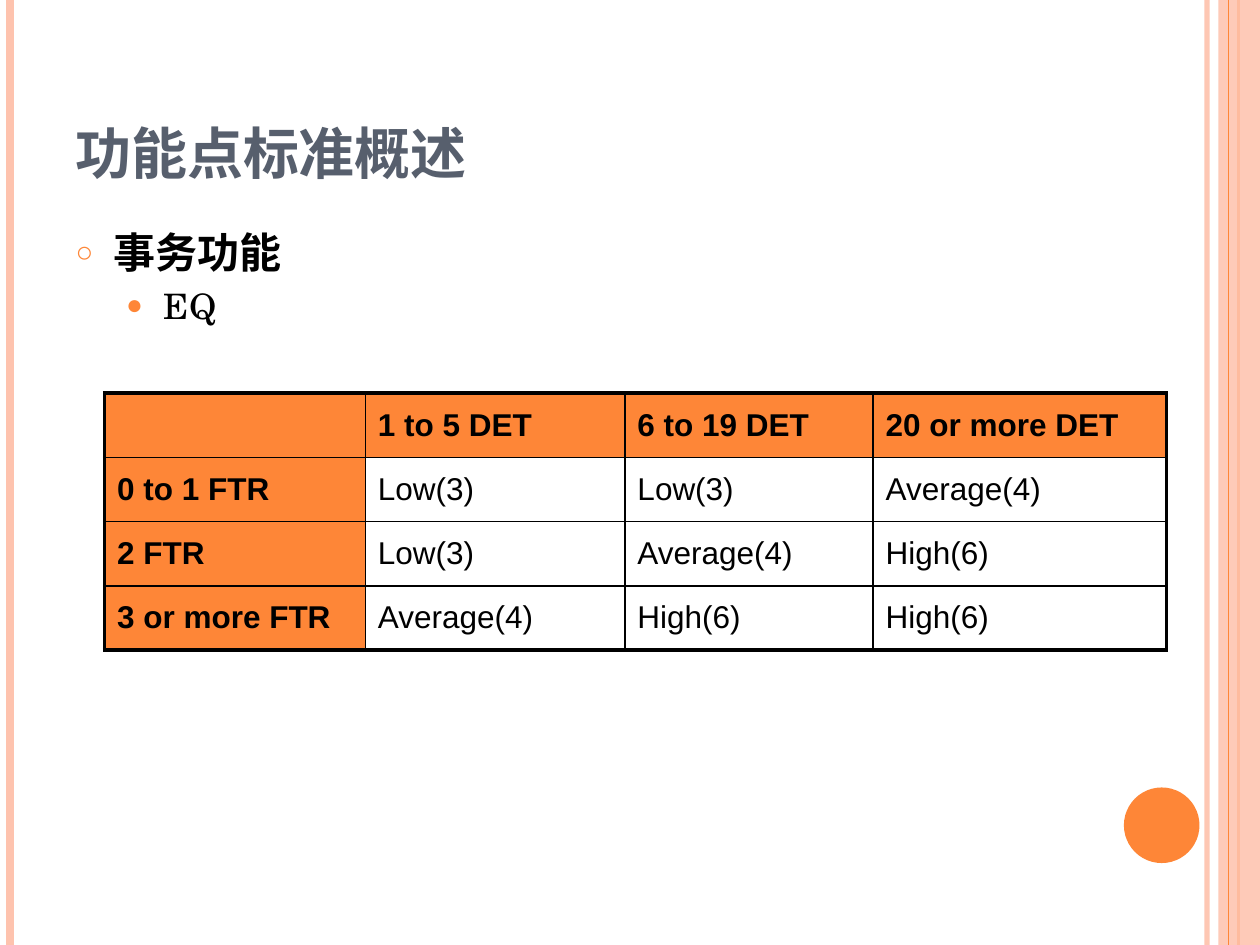
import pptx
import pptx.util
import pptx.dml.color
import pptx.enum.shapes
import pptx.enum.text
import pptx.oxml
from lxml import etree
from pptx.util import Inches

COLORS = {"orange": "FE8637", "peach": "FEC3AE", "slate": "575F6D", "black": "000000"}
FONTS = {"theme": "TeX Gyre Schola", "table": "Arial"}
A = "{http://schemas.openxmlformats.org/drawingml/2006/main}"


def rgb(name):
    return pptx.dml.color.RGBColor.from_string(COLORS[name])


def format_text(paragraph, color="black", **values):
    """Set the font attributes of every run in a paragraph."""
    for run in paragraph.runs:
        run.font.color.rgb = rgb(color)
        for attribute, value in values.items():
            setattr(run.font, attribute, value)


presentation = pptx.Presentation()
presentation.slide_width, presentation.slide_height = Inches(10), Inches(7.5)
slide = presentation.slides.add_slide(presentation.slide_layouts[1])
shapes = slide.shapes

# Vertical stripes: x, colour, width in points, opacity in percent
stripes = [
    (9.58, "peach", 3, 93),
    (0.08, "peach", 4.5, 100),
    (9.83, "orange", 1.5, 100),
    (9.75, "orange", 0.75, 100),
]
for x, color, width, opacity in stripes:
    stripe = shapes.add_connector(
        pptx.enum.shapes.MSO_CONNECTOR.STRAIGHT, Inches(x), 0, Inches(x), Inches(7.5))
    stripe.line.color.rgb = rgb(color)
    stripe.line.width = pptx.util.Pt(width)
    properties = stripe._element.spPr
    etree.SubElement(properties, A + "effectLst")
    if opacity < 100:
        etree.SubElement(next(properties.iter(A + "srgbClr")), A + "alpha", val=str(opacity * 1000))
    if x == 9.83:
        # The band covers this stripe but not the one after it
        band = shapes.add_shape(pptx.enum.shapes.MSO_SHAPE.RECTANGLE,
                                Inches(9.67), 0, Inches(0.33), Inches(7.5))

# Right band and page number disc
disc = shapes.add_shape(pptx.enum.shapes.MSO_SHAPE.OVAL,
                        Inches(8.92), Inches(6.25), Inches(0.6), Inches(0.6))
for decoration, color in [(band, "peach"), (disc, "orange")]:
    decoration.shadow.inherit = False
    decoration.fill.solid()
    decoration.fill.fore_color.rgb = rgb(color)
    decoration.line.fill.background()
etree.SubElement(next(band._element.spPr.iter(A + "srgbClr")), A + "alpha", val="87000")

# Title
title = shapes.title
title_box = {"left": 0.5, "top": 0.3, "width": 8.17, "height": 1.25}
for side, value in title_box.items():
    setattr(title, side, Inches(value))
title.text_frame.text = "功能点标准概述"
title.text_frame.vertical_anchor = pptx.enum.text.MSO_ANCHOR.BOTTOM
heading = title.text_frame.paragraphs[0]
heading.alignment = pptx.enum.text.PP_ALIGN.LEFT
format_text(heading, "slate", name=FONTS["theme"], size=pptx.util.Pt(40), bold=True)
heading.runs[0].font._element.set("cap", "small")

# Bulleted list: text, size, bold, space before, indent, bullet, bullet size
outline = slide.placeholders[1]
outline_box = {"left": 0.5, "top": 1.75, "width": 8.17, "height": 5.33}
for side, value in outline_box.items():
    setattr(outline, side, Inches(value))
items = [
    ("事务功能", 24, True, 6, 0.3, "○", 70),
    ("EQ", 20, False, 4, 0.7, "●", 80),
]
outline.text_frame.text = "\n".join(item[0] for item in items)
for level, (item, paragraph) in enumerate(zip(items, outline.text_frame.paragraphs)):
    text, size, bold, before, indent, bullet, bullet_size = item
    paragraph.level = level
    paragraph.space_before = pptx.util.Pt(before)
    format_text(paragraph, name=FONTS["theme"], size=pptx.util.Pt(size), bold=bold)
    properties = paragraph._p.get_or_add_pPr()
    properties.set("marL", str(Inches(indent)))
    properties.set("indent", str(Inches(-0.3)))
    bullet_color = etree.SubElement(properties, A + "buClr")
    etree.SubElement(bullet_color, A + "srgbClr", val=COLORS["orange"])
    etree.SubElement(properties, A + "buSzPct", val=str(bullet_size * 1000))
    etree.SubElement(properties, A + "buFont", typeface=FONTS["table"])
    etree.SubElement(properties, A + "buChar", char=bullet)

# Complexity table
complexity = [
    ["", "1 to 5 DET", "6 to 19 DET", "20 or more DET"],
    ["0 to 1 FTR", "Low(3)", "Low(3)", "Average(4)"],
    ["2 FTR", "Low(3)", "Average(4)", "High(6)"],
    ["3 or more FTR", "Average(4)", "High(6)", "High(6)"],
]
column_widths = [2.07, 2.06, 1.97, 2.33]
row_height = 0.51
last = len(complexity) - 1
table = shapes.add_table(4, 4, Inches(0.83), Inches(3.12),
                         Inches(sum(column_widths)), Inches(4 * row_height)).table
for column, width in zip(table.columns, column_widths):
    column.width = Inches(width)
for r, row in enumerate(complexity):
    table.rows[r].height = Inches(row_height)
    for c, text in enumerate(row):
        cell = table.cell(r, c)
        is_header = r == 0 or c == 0
        cell.text = text
        cell.vertical_anchor = pptx.enum.text.MSO_ANCHOR.MIDDLE
        format_text(cell.text_frame.paragraphs[0], name=FONTS["table"],
                    size=pptx.util.Pt(18), bold=is_header)
        # Borders go before the fill; the outer frame is thicker
        properties = cell._tc.get_or_add_tcPr()
        outer = {"lnL": c == 0, "lnR": c == last, "lnT": r == 0, "lnB": r == last}
        for edge, is_outer in outer.items():
            border = etree.SubElement(properties, A + edge,
                                      w=str(pptx.util.Pt(2.25 if is_outer else 1)))
            border_fill = etree.SubElement(border, A + "solidFill")
            etree.SubElement(border_fill, A + "srgbClr", val=COLORS["black"])
        if is_header:
            cell.fill.solid()
            cell.fill.fore_color.rgb = rgb("orange")
        else:
            cell.fill.background()

presentation.save("out.pptx")
